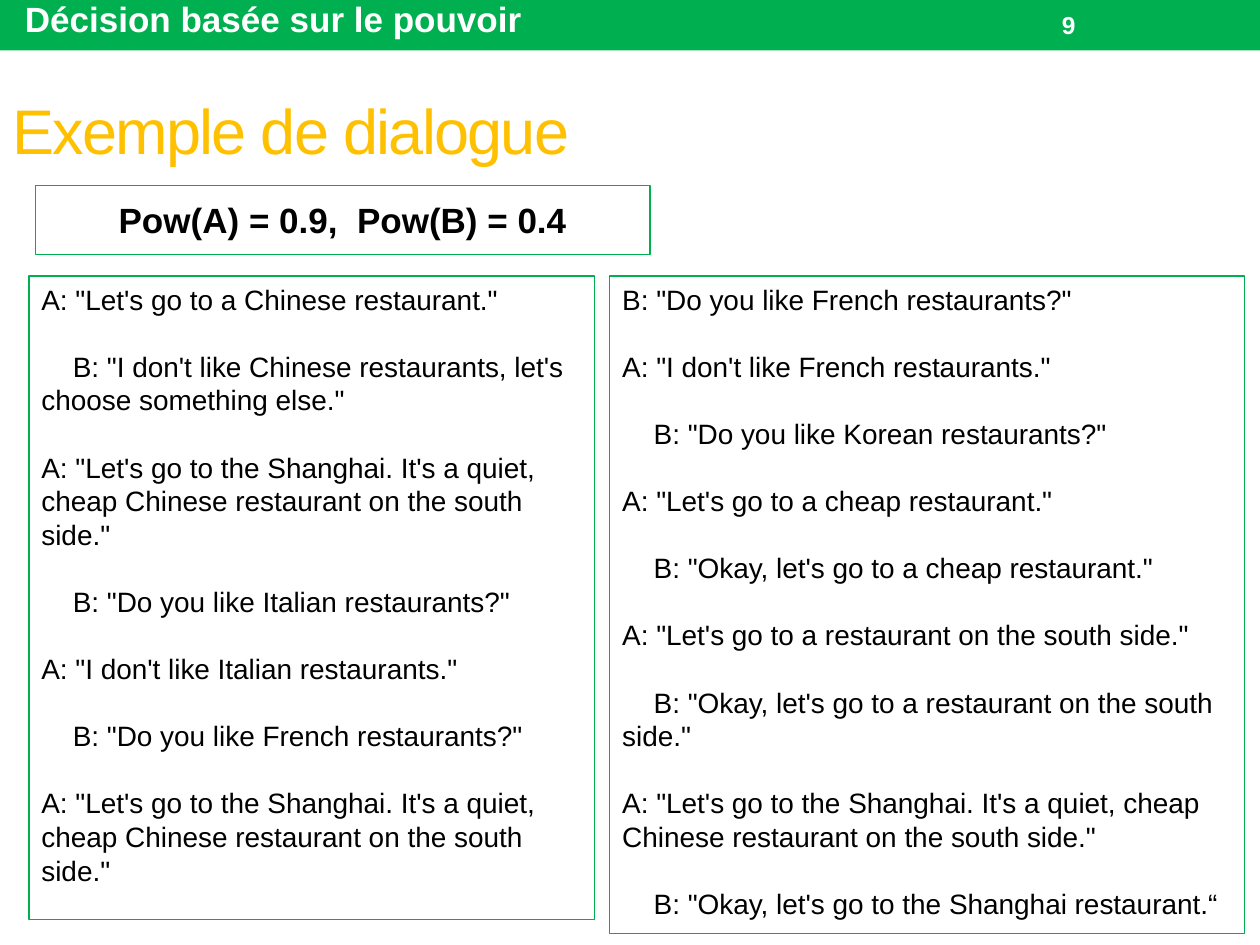
from pptx import Presentation
from pptx.dml.color import RGBColor
from pptx.enum.shapes import MSO_SHAPE as Shape
from pptx.enum.text import MSO_ANCHOR as Anchor, PP_ALIGN as Align
from pptx.util import Emu, Pt

PX = 9144  # 100 px to the inch
GREEN = RGBColor(0x00, 0xB0, 0x50)
GOLD = RGBColor(0xFF, 0xC0, 0x00)
WHITE = RGBColor(0xFF, 0xFF, 0xFF)
BLACK = RGBColor(0x00, 0x00, 0x00)
LINE = Pt(19.2)
INDENT = 25 * PX

SHANGHAI = ("A: \"Let's go to the Shanghai. It's a quiet, cheap Chinese "
            "restaurant on the south side.\"")
LEFT = [
    "A: \"Let's go to a Chinese restaurant.\"",
    "B: \"I don't like Chinese restaurants, let's choose something else.\"",
    SHANGHAI,
    "B: \"Do you like Italian restaurants?\"",
    "A: \"I don't like Italian restaurants.\"",
    "B: \"Do you like French restaurants?\"",
    SHANGHAI,
]
RIGHT = [
    "B: \"Do you like French restaurants?\"",
    "A: \"I don't like French restaurants.\"",
    "B: \"Do you like Korean restaurants?\"",
    "A: \"Let's go to a cheap restaurant.\"",
    "B: \"Okay, let's go to a cheap restaurant.\"",
    "A: \"Let's go to a restaurant on the south side.\"",
    "B: \"Okay, let's go to a restaurant on the south side.\"",
    SHANGHAI,
    "B: \"Okay, let's go to the Shanghai restaurant.“",
]


def add_box(x, y, w, h, fill=None, line=None):
    """Add a flat rectangle, with a fill or an outline where given."""
    box = slide.shapes.add_shape(
        Shape.RECTANGLE, *(Emu(n * PX) for n in (x, y, w, h)))
    box.shadow.inherit = False
    if fill:
        box.fill.solid()
        box.fill.fore_color.rgb = fill
    else:
        box.fill.background()
    if line:
        box.line.color.rgb = line
        box.line.width = Pt(0.75)
    else:
        box.line.fill.background()
    return box


def set_text(shape, lines, size, color, bold=False, align=Align.LEFT,
             anchor=Anchor.MIDDLE, wrap=True):
    frame = shape.text_frame
    frame.text = "\n".join(lines)
    frame.word_wrap = wrap
    frame.vertical_anchor = anchor
    for para in frame.paragraphs:
        para.alignment = align
        for run in para.runs:
            font = run.font
            font.name, font.size, font.bold = "Arial", Pt(size), bold
            font.color.rgb = color


deck = Presentation()
deck.slide_width, deck.slide_height = Emu(1000 * PX), Emu(750 * PX)
slide = deck.slides.add_slide(deck.slide_layouts[6])

add_box(0, 0, 1000, 40, fill=GREEN)

# Header, page number and title
labels = [
    ("Décision basée sur le pouvoir", (10, -7, 417, 44), 20, WHITE, True,
     Anchor.TOP, False),
    ("9", (833, 2, 117, 36), 14, WHITE, True, Anchor.MIDDLE, True),
    ("Exemple de dialogue", (0, 40, 980, 125), 36, GOLD, False,
     Anchor.MIDDLE, True),
]
for text, place, size, color, bold, anchor, wrap in labels:
    label = slide.shapes.add_textbox(*(Emu(n * PX) for n in place))
    set_text(label, [text], size, color, bold, anchor=anchor, wrap=wrap)
title = label
title.text_frame.paragraphs[0].runs[0].font._element.set("spc", "-100")

power = add_box(28, 147, 488, 55, line=GREEN)
set_text(power, ["Pow(A) = 0.9,  Pow(B) = 0.4"], 20, BLACK, True, Align.CENTER)

# Dialogue columns: B's replies are indented, except as an opening line
for x, w, h, turns in [(23, 449, 511, LEFT), (484, 504, 522, RIGHT)]:
    column = add_box(x, 219, w, h, line=GREEN)
    set_text(column, turns, 16, BLACK, anchor=Anchor.TOP)
    for i, para in enumerate(column.text_frame.paragraphs):
        para.line_spacing = LINE
        if i:
            para.space_before = LINE
            if para.text.startswith("B"):
                para._p.get_or_add_pPr().set("indent", str(INDENT))

deck.save("out.pptx")
